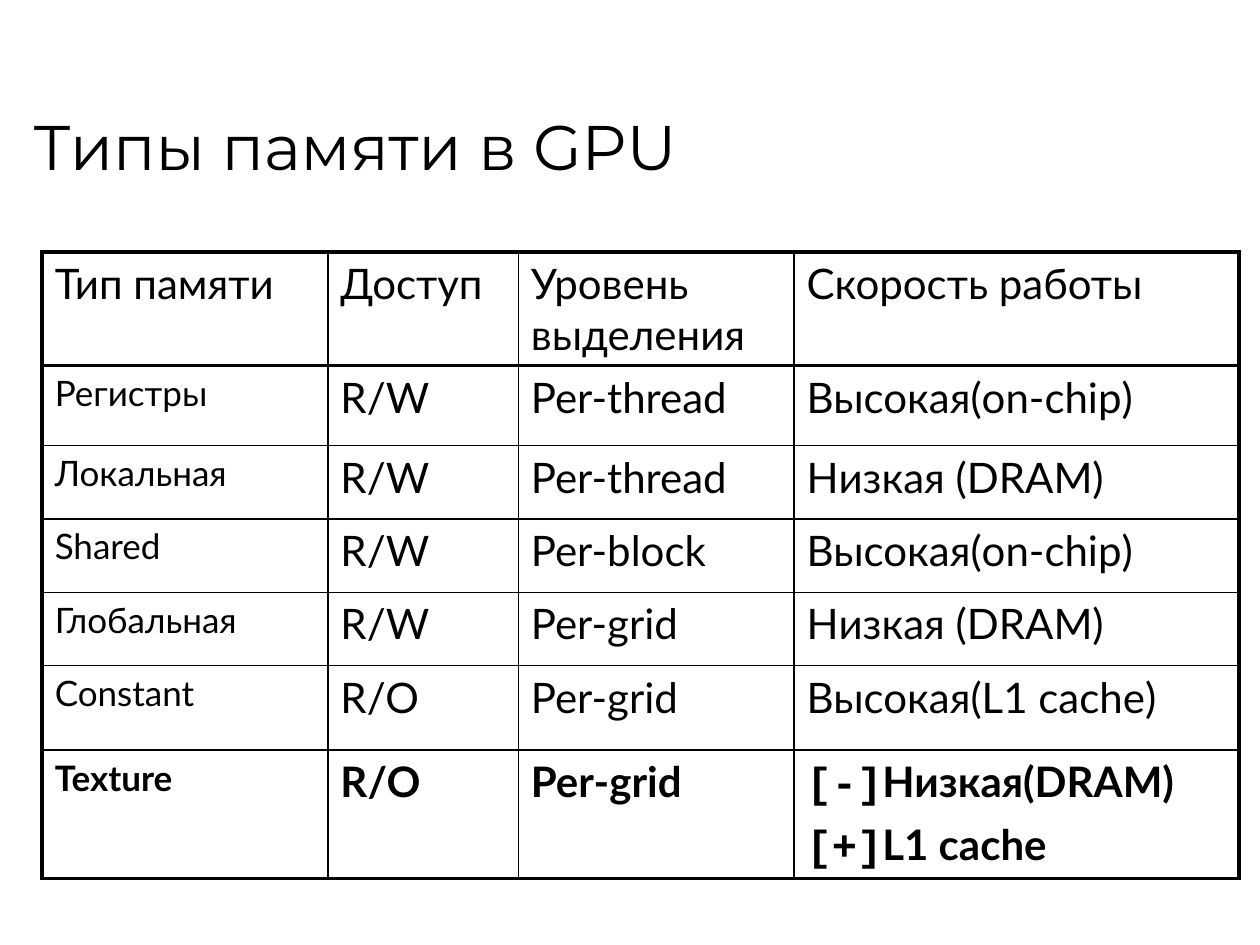
"""Build the slide that compares the memory types of a GPU."""
from lxml.etree import SubElement
from pptx import Presentation
from pptx.dml.color import RGBColor
from pptx.enum.text import MSO_ANCHOR
from pptx.oxml.ns import qn
from pptx.util import Cm, Pt

BLACK = RGBColor(0, 0, 0)
COLUMN_WIDTHS = [5.76, 3.84, 5.56, 8.97]
ROW_HEIGHTS = [2.29, 1.61, 1.48, 1.48, 1.48, 1.7, 2.59]
MEMORY_TYPES = [
    ["Тип памяти", "Доступ", "Уровень выделения", "Скорость работы"],
    ["Регистры", "R/W", "Per-thread", "Высокая(on-chip)"],
    ["Локальная", "R/W", "Per-thread", "Низкая (DRAM)"],
    ["Shared", "R/W", "Per-block", "Высокая(on-chip)"],
    ["Глобальная", "R/W", "Per-grid", "Низкая (DRAM)"],
    ["Constant", "R/O", "Per-grid", "Высокая(L1 cache)"],
    ["Texture", "R/O", "Per-grid"],
]
TEXTURE_SPEED = [("[-]", "Низкая(DRAM)"), ("[+]", "L1 cache")]


def add_run(paragraph, text, size, font="Lato", bold=False):
    run = paragraph.add_run()
    run.text = text
    run.font.name = font
    run.font.size = Pt(size)
    run.font.bold = bold
    run.font.color.rgb = BLACK


def add_border(cell, side, width):
    line = SubElement(cell._tc.get_or_add_tcPr(), qn(f"a:ln{side}"), w=str(Pt(width)))
    fill = SubElement(line, qn("a:solidFill"))
    SubElement(fill, qn("a:srgbClr"), val=str(BLACK))


presentation = Presentation()
presentation.slide_width = Cm(25.4)
presentation.slide_height = Cm(19.05)
slide = presentation.slides.add_slide(presentation.slide_layouts[6])

title = slide.shapes.add_textbox(Cm(0.43), Cm(0.64), Cm(24.33), Cm(3.18)).text_frame
title.word_wrap = True
title.vertical_anchor = MSO_ANCHOR.BOTTOM
add_run(title.paragraphs[0], "Типы памяти в GPU", 36, "Montserrat")

last_row = len(ROW_HEIGHTS) - 1
last_column = len(COLUMN_WIDTHS) - 1
memory_table = slide.shapes.add_table(
    len(ROW_HEIGHTS), len(COLUMN_WIDTHS), Cm(0.85), Cm(5.08),
    Cm(sum(COLUMN_WIDTHS)), Cm(sum(ROW_HEIGHTS))).table
memory_table.first_row = False
memory_table.horz_banding = False
for column, width in zip(memory_table.columns, COLUMN_WIDTHS):
    column.width = Cm(width)
for row, height in zip(memory_table.rows, ROW_HEIGHTS):
    row.height = Cm(height)

for r in range(last_row + 1):
    for c in range(last_column + 1):
        cell = memory_table.cell(r, c)
        heavy_sides = {"L": c == 0, "R": c == last_column,
                       "T": r <= 1, "B": r in (0, last_row)}
        for side, heavy in heavy_sides.items():
            add_border(cell, side, 2.25 if heavy else 1)
        cell.fill.background()

for r, memory_type in enumerate(MEMORY_TYPES):
    for c, value in enumerate(memory_type):
        size = 20 if c == 0 and r > 0 else 24
        paragraph = memory_table.cell(r, c).text_frame.paragraphs[0]
        add_run(paragraph, value, size, bold=r == last_row)

texture_speed = memory_table.cell(last_row, last_column).text_frame
for i, (sign, speed) in enumerate(TEXTURE_SPEED):
    if i == 0:
        paragraph = texture_speed.paragraphs[0]
    else:
        paragraph = texture_speed.add_paragraph()
        paragraph.space_before = Pt(5)
    add_run(paragraph, sign, 24, "Courier New", bold=True)
    add_run(paragraph, speed, 24, bold=True)

presentation.save("out.pptx")
